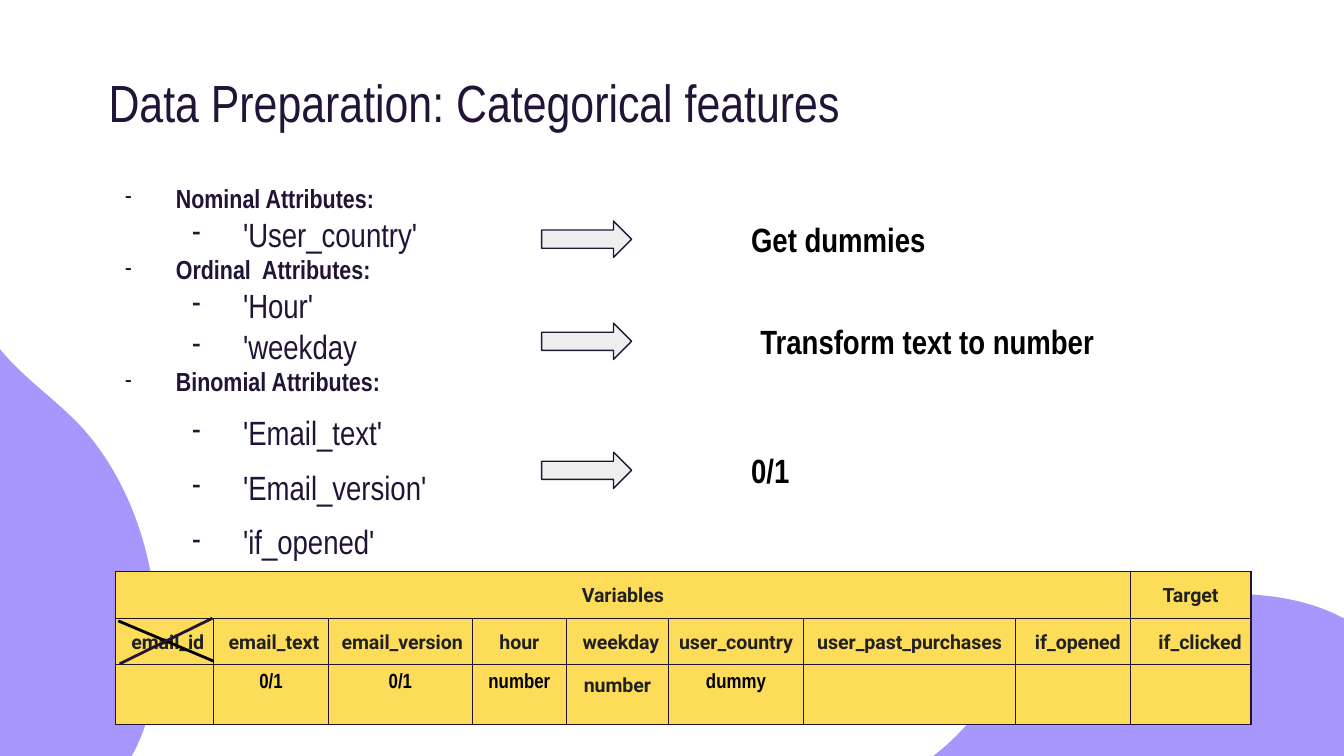
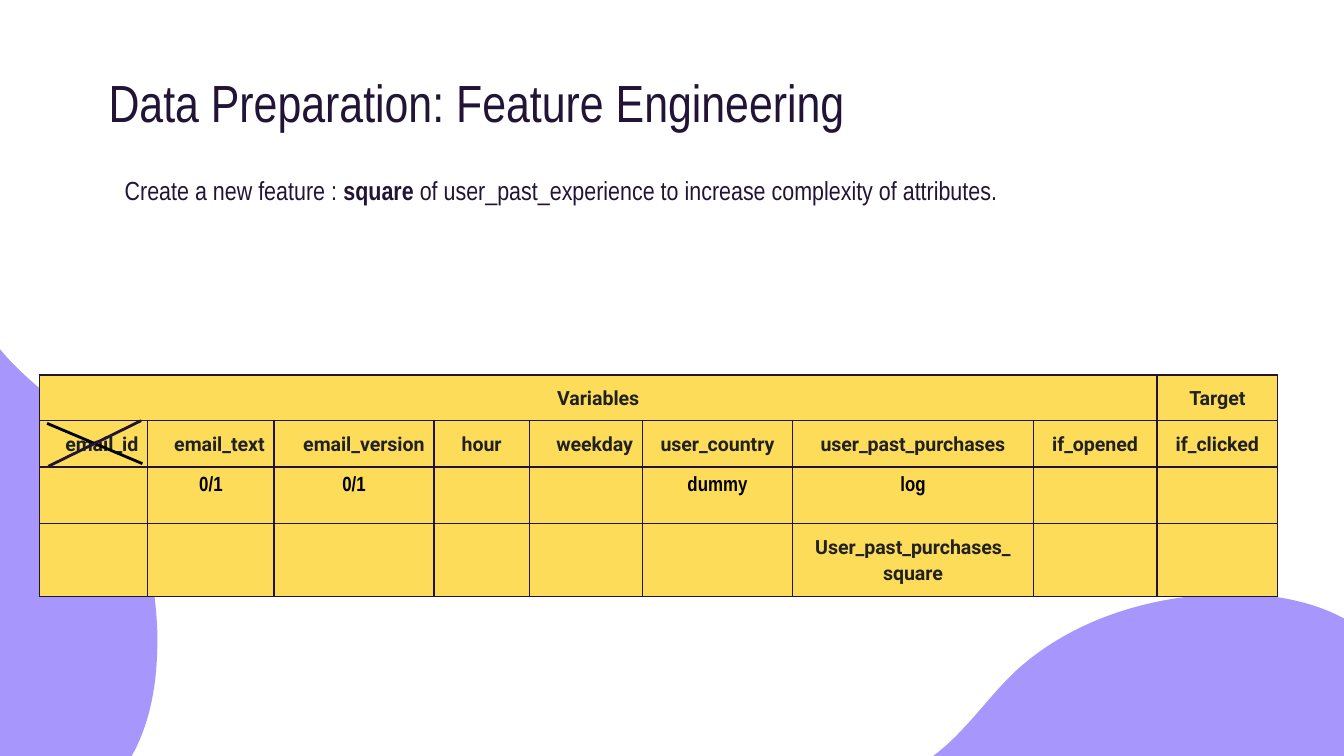
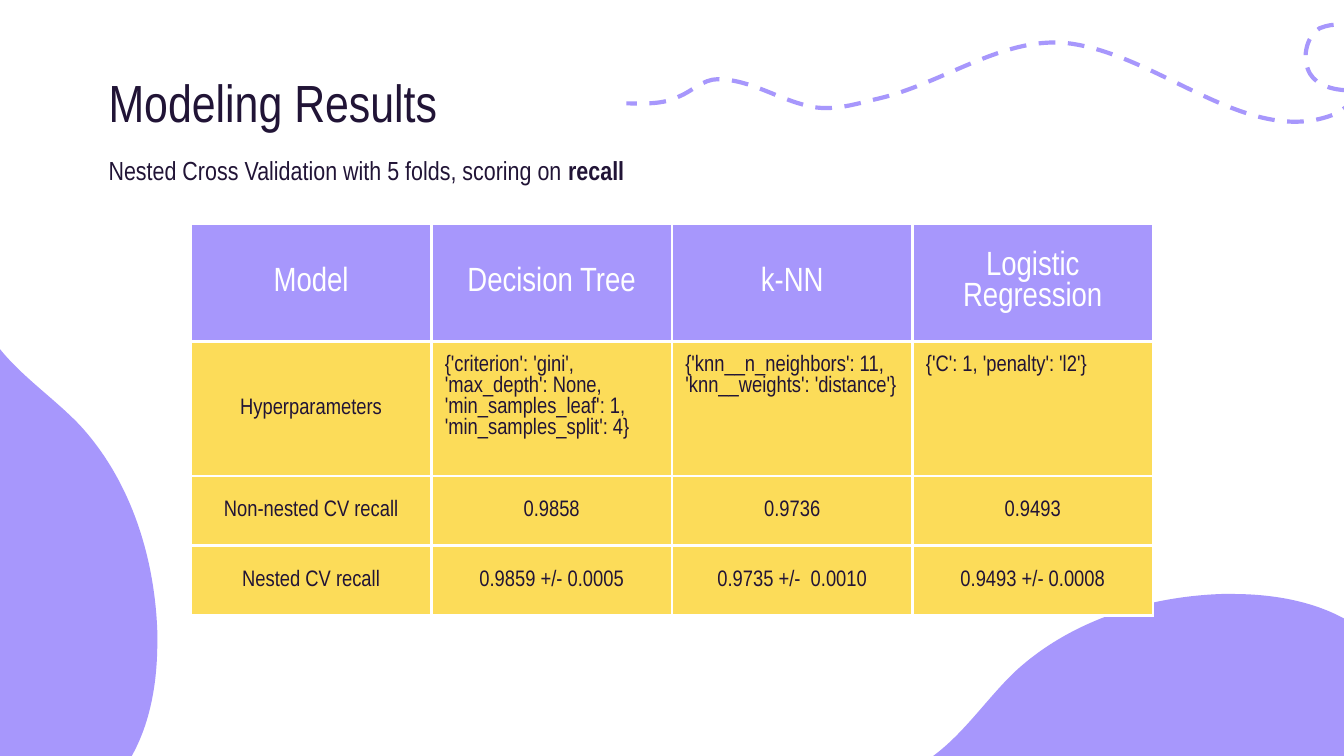
from lxml import etree
from pptx import Presentation
from pptx import util as u
from pptx.dml.color import RGBColor
from pptx.enum import dml, shapes, text
from pptx.oxml import ns

# The slide is a grid of 100 columns by 56.25 rows; every length below counts grid units.
UNIT = u.Inches(0.1)
COLUMNS, ROWS = 100, 56.25

COLORS = {
    "ink": "211436", "violet": "A797FC", "yellow": "FCDC59", "white": "FFFFFF",
    "black": "000000", "grey": "EEEEEE", "label": "212121",
}
NARROW, ROBOTO = "Arial Narrow", "Roboto"
ALIGN = {"l": text.PP_ALIGN.LEFT, "c": text.PP_ALIGN.CENTER, "r": text.PP_ALIGN.RIGHT}

# Start point, then per row either a line's end or a curve's two handles and end.
BLOB = (36.3, 0), [
    (36.1, 0, 35.8, 0, 35.5, 0), (29.9, 0.2, 24.2, 2, 20.1, 5.8),
    (17.6, 8.2, 15.7, 11.4, 12.5, 13), (10.1, 14.2, 7.3, 14.2, 4.8, 15.2),
    (2.3, 16.2, 0, 18.8, 0.9, 21.4), (1.6, 23.2, 3.5, 24, 5.6, 24),
    (6.6, 24, 7.7, 23.8, 8.6, 23.5), (13, 22, 16.5, 18.6, 20.6, 16.3),
    (24.2, 14.3, 28.3, 13.1, 32.4, 13.1), (34.1, 13.1, 35.8, 13.3, 37.5, 13.7),
    (40.5, 14.6, 43.3, 16.3, 45.4, 18.6), (45.4, 2.3),
    (42.8, 0.6, 39.5, 0, 36.3, 0),
]
WAVE = (61.2, 0), [
    (60.5, 2, 59.4, 4.2, 57.6, 5.3), (55.6, 6.5, 51.4, 6.8, 50.7, 4.6),
    (50.3, 3.6, 50.7, 2.1, 51.6, 1.6), (52.6, 1.2, 53.9, 1.2, 54.7, 1.9),
    (56.3, 3.3, 54.7, 7.2, 52.7, 8), (46.5, 10.5, 40, 3.9, 33.4, 2.8),
    (28.3, 1.9, 23.6, 5.8, 18.5, 6.9), (16.9, 7.3, 15.2, 7.8, 13.6, 7.4),
    (11.3, 6.9, 9.2, 5.4, 6.8, 5.4), (5.7, 5.4, 4.9, 6.3, 3.9, 6.7),
    (2.7, 7.3, 1.3, 7.2, 0, 7.2),
]

FEATURES = ["email_id", "email_text", "email_version", "hour", "weekday",
            "user_country", "user_past_purchases", "if_opened", "if_clicked"]


def color(name):
    return RGBColor.from_string(COLORS[name])


def grid(*counts):
    return [round(count * UNIT) for count in counts]


def set_font(font, size, name=NARROW, ink="ink", bold=False):
    font.size, font.name, font.bold = u.Pt(size), name, bold
    font.color.rgb = color(ink)


def add_outline(page, left, top, outline, close=False):
    """Build a freeform through the end points, then bend its segments into curves."""
    start, rows = outline
    spots = [grid(left + row[-2], top + row[-1]) for row in [start] + rows]
    builder = page.shapes.build_freeform(*spots[0])
    builder.add_line_segments(spots[1:], close=close)
    shape = builder.convert_to_shape()
    shape.shadow.inherit = False
    segments = list(shape._element.iter(ns.qn("a:lnTo")))
    for segment, row in zip(segments, rows):
        if len(row) == 2:
            continue
        curve = etree.Element(ns.qn("a:cubicBezTo"))
        for x, y in zip(row[::2], row[1::2]):
            x, y = grid(left + x, top + y)
            etree.SubElement(curve, ns.qn("a:pt"), x=str(x - shape.left), y=str(y - shape.top))
        segment.getparent().replace(segment, curve)
    return shape


def add_blob(page, left, top, rotation=0):
    blob = add_outline(page, left, top, BLOB, close=True)
    blob.rotation = rotation
    blob.fill.solid()
    blob.fill.fore_color.rgb = color("violet")
    blob.line.fill.background()


def add_wave(page, left, top):
    wave = add_outline(page, left, top, WAVE)
    wave.fill.background()
    wave.line.color.rgb = color("violet")
    wave.line.width = u.Pt(2.25)
    wave.line.dash_style = dml.MSO_LINE.DASH


def add_frame(page, box, inset_top=1):
    frame = page.shapes.add_textbox(*grid(*box)).text_frame
    frame.word_wrap = True
    frame.margin_left, frame.margin_right, frame.margin_bottom = grid(1, 1, 1)
    frame.margin_top = grid(inset_top)[0]
    return frame


def add_line_of_text(page, box, words, size, **style):
    para = add_frame(page, box).paragraphs[0]
    para.text = words
    set_font(para.font, size, **style)


def add_sentence(page, box, before, strong, after=""):
    """Write one sentence with a bold word in it."""
    para = add_frame(page, box).paragraphs[0]
    set_font(para.font, 14)
    for words in filter(None, (before, strong, after)):
        span = para.add_run()
        span.text = words
        span.font.bold = words == strong


def add_page(deck, title):
    page = deck.slides.add_slide(deck.slide_layouts[6])
    add_blob(page, 55.4, 44.2)
    add_blob(page, -23.45, 22.65, rotation=90)
    add_line_of_text(page, (7.1, 4.2, 89.6, 6.3), title, 28)
    return page


def add_bullet(para):
    props = para.font._element.getparent()
    props.set("marL", str(u.Inches(0.5 * (para.level + 1))))
    props.set("indent", str(-u.Inches(0.38)))
    tint = etree.Element(ns.qn("a:buClr"))
    etree.SubElement(tint, ns.qn("a:srgbClr"), val=COLORS["ink"])
    face = etree.Element(ns.qn("a:buFont"), typeface=NARROW)
    dash = etree.Element(ns.qn("a:buChar"), char="-")
    for part in (tint, face, dash):
        props.insert(props.index(para.font._element), part)


def add_attribute_list(page, box, groups):
    """List each group's heading and, one level deeper, its attributes."""
    frame = add_frame(page, box, inset_top=2.05)
    para = frame.paragraphs[0]
    for heading, names, spacing in groups:
        for level, words in [(0, heading)] + [(1, name) for name in names]:
            if para.text:
                para = frame.add_paragraph()
            para.text, para.level = words, level
            set_font(para.font, 18 if level else 14, bold=not level)
            if level:
                para.line_spacing = spacing
            add_bullet(para)


def add_recoding(page, top, words, indent=0):
    """Place an arrow and, to its right, the treatment it leads to."""
    arrow = page.shapes.add_shape(shapes.MSO_SHAPE.RIGHT_ARROW, *grid(40.3, top + 1.15, 6.7, 2.7))
    arrow.shadow.inherit = False
    arrow.fill.solid()
    arrow.fill.fore_color.rgb = color("grey")
    arrow.line.color.rgb = color("ink")
    arrow.line.width = u.Pt(0.75)
    add_line_of_text(page, (54.9 + indent, top, 43.6, 5), words, 18, ink="black", bold=True)


def set_borders(cell, name, points):
    props = cell._tc.get_or_add_tcPr()
    for place, side in enumerate(("lnL", "lnR", "lnT", "lnB")):
        line = etree.Element(ns.qn("a:" + side), w=str(u.Pt(points)))
        fill = etree.SubElement(line, ns.qn("a:solidFill"))
        etree.SubElement(fill, ns.qn("a:srgbClr"), val=COLORS[name])
        props.insert(place, line)


def add_table(page, left, top, widths, heights, border):
    """Add a plain yellow table whose borders are (colour, points)."""
    box = grid(left, top, sum(widths), sum(heights))
    table = page.shapes.add_table(len(heights), len(widths), *box).table
    table.first_row = table.horz_banding = False
    for column, width in zip(table.columns, grid(*widths)):
        column.width = width
    for row, height in zip(table.rows, grid(*heights)):
        row.height = height
    for cell in table.iter_cells():
        cell.fill.solid()
        cell.fill.fore_color.rgb = color("yellow")
        set_borders(cell, *border)
    return table


def fill_cell(cell, words, inset, align="c", spacing=None, **style):
    cell.margin_left, cell.margin_right, cell.margin_top, cell.margin_bottom = grid(*[inset] * 4)
    cell.text = words
    for para in cell.text_frame.paragraphs:
        para.alignment, para.line_spacing = ALIGN[align], spacing
        set_font(para.font, **style)


def add_feature_table(page, left, top, widths, heights, aligns, treatments, labels):
    """Show the features with their treatments; labels are the cells set like the headings."""
    table = add_table(page, left, top, widths, heights, ("ink", 0.75))
    heading = dict(inset=0.7, size=10.5, name=ROBOTO, ink="label", bold=True)
    last = len(FEATURES) - 1
    table.cell(0, 0).merge(table.cell(0, last - 1))
    fill_cell(table.cell(0, 0), "Variables", spacing=1.15, **heading)
    fill_cell(table.cell(0, last), "Target", spacing=1.15, **heading)
    for column, (feature, align) in enumerate(zip(FEATURES, aligns)):
        fill_cell(table.cell(1, column), feature, align=align, spacing=1.15, **heading)
    for feature, words in treatments.items():
        fill_cell(table.cell(2, FEATURES.index(feature)), words, 0.7,
                  size=11, ink="black", bold=True)
    for (row, feature), (words, spacing) in labels.items():
        fill_cell(table.cell(row, FEATURES.index(feature)), words, spacing=spacing, **heading)


def add_cross(page, left, top):
    """Strike out the dropped feature."""
    for x1, y1, x2, y2, name in [(0, 0.2, 7.1, 3.2, "black"), (7, 0, 0.1, 3.4, "ink")]:
        line = page.shapes.add_connector(
            shapes.MSO_CONNECTOR.STRAIGHT, *grid(left + x1, top + y1, left + x2, top + y2))
        line.line.color.rgb = color(name)
        line.line.width = u.Pt(1.5)
        etree.SubElement(line._element.spPr, ns.qn("a:effectLst"))


def add_results_table(page, left, top, rows):
    table = add_table(page, left, top, [17.9] * 4, [8.75, 8.2, 5.2, 5.2], ("white", 1.5))
    for r, row in enumerate(rows):
        for c, words in enumerate(row):
            cell = table.cell(r, c)
            parameters = r == 1 and c > 0
            fill_cell(cell, words, 1, align="l" if parameters else "c",
                      size=12 if r else 18, ink="ink" if r else "white")
            if not parameters:
                cell.vertical_anchor = text.MSO_ANCHOR.MIDDLE
            if r == 0:
                cell.fill.fore_color.rgb = color("violet")


def categorical_features(deck):
    page = add_page(deck, "Data Preparation: Categorical features")
    add_attribute_list(page, (7.1, 11.5, 82.9, 35.3), [
        ("Nominal Attributes:", ["'User_country'"], None),
        ("Ordinal  Attributes:", ["'Hour'", "'weekday"], None),
        ("Binomial Attributes:", ["'Email_text'", "'Email_version'", "'if_opened'"], 1.36),
    ])
    add_recoding(page, 15.3, "Get dummies")
    add_recoding(page, 22.9, "Transform text to number", indent=0.7)
    add_recoding(page, 32.5, "0/1")
    add_feature_table(
        page, 8.6, 42.5, [7.3, 8.55, 10.7, 7, 7.6, 10.05, 15.8, 8.5, 9], [3.5, 3.45, 4.45],
        "rrrcrccrr",
        {"email_text": "0/1", "email_version": "0/1", "hour": "number", "user_country": "dummy"},
        {(2, "weekday"): ("number", None)})
    add_cross(page, 8.8, 46)


def feature_engineering(deck):
    page = add_page(deck, "Data Preparation: Feature Engineering")
    add_feature_table(
        page, 2.95, 27.9, [8.05, 9.4, 11.9, 7.1, 8.4, 11.2, 17.9, 9.2, 9], [3.4, 3.45, 4.2, 5.35],
        "rrrcrcccc",
        {"email_text": "0/1", "email_version": "0/1", "user_country": "dummy",
         "user_past_purchases": "log"},
        {(3, "user_past_purchases"): ("User_past_purchases_\nsquare", 1.15)})
    add_cross(page, 3.5, 31.3)
    add_sentence(page, (8.3, 12, 81.4, 8.2), "Create a new feature : ", "square",
                 " of user_past_experience to increase complexity of attributes.")


def modeling_results(deck):
    page = add_page(deck, "Modeling Results")
    add_wave(page, 46.6, 0.5)
    add_sentence(page, (7.1, 10.5, 52.3, 4.7),
                 "Nested Cross Validation with 5 folds, scoring on ", "recall")
    add_results_table(page, 14.2, 16.65, [
        ("Model", "Decision Tree", "k-NN", "Logistic Regression"),
        ("Hyperparameters",
         "{'criterion': 'gini', 'max_depth': None, 'min_samples_leaf': 1, 'min_samples_split': 4}",
         "{'knn__n_neighbors': 11, 'knn__weights': 'distance'}",
         "{'C': 1, 'penalty': 'l2'}"),
        ("Non-nested CV recall", "0.9858", "0.9736", "0.9493"),
        ("Nested CV recall", "0.9859 +/- 0.0005", "0.9735 +/-  0.0010", "0.9493 +/- 0.0008"),
    ])


def main():
    deck = Presentation()
    deck.slide_width, deck.slide_height = grid(COLUMNS, ROWS)
    categorical_features(deck)
    feature_engineering(deck)
    modeling_results(deck)
    deck.save("out.pptx")


if __name__ == "__main__":
    main()
